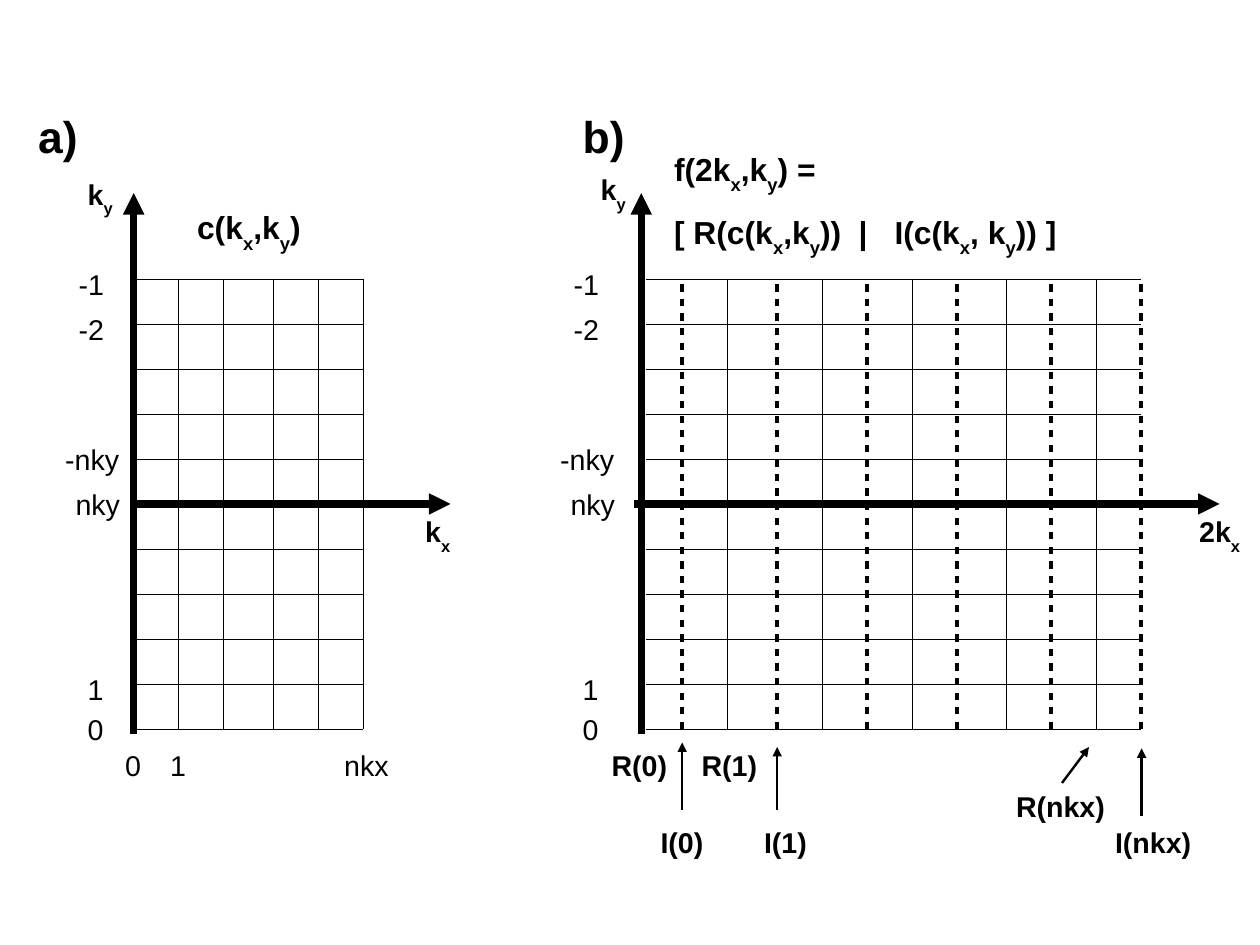
from dataclasses import dataclass

from lxml import etree
from pptx import Presentation
from pptx.dml.color import RGBColor
from pptx.enum.shapes import MSO_CONNECTOR
from pptx.enum.text import MSO_AUTO_SIZE
from pptx.oxml.ns import qn
from pptx.util import Cm, Pt

STRAIGHT = MSO_CONNECTOR.STRAIGHT
GROW = MSO_AUTO_SIZE.SHAPE_TO_FIT_TEXT
BLACK = "000000"
FONT = "Arial"
AXIS, DASHED, POINTER, HAIRLINE = 4.5, 2.3, 1.5, 0.1
LINE_HEIGHT = {18: 0.97, 20: 1.22, 28: 1.35}

# Grid rows and axes shared by both panels, in cm
ROW_STEP, ROWS = 1, 11
GRID_TOP = 6.2
GRID_BOTTOM = GRID_TOP + ROW_STEP * (ROWS - 1)
AXIS_TOP, AXIS_BOTTOM, AXIS_MID = 4.29, 16.31, 11.2
PANEL_SHIFT = 11


@dataclass
class Line:
    x1: float
    y1: float
    x2: float
    y2: float
    width: float = HAIRLINE
    arrow: bool = False
    dashed: bool = False


@dataclass
class Label:
    text: str  # "_" lowers the next character
    left: float
    top: float
    width: float
    size: int = 18
    bold: bool = True
    wrap: bool = False
    tabs: tuple[float, ...] = ()


@dataclass
class Panel:
    axis_x: float
    axis_start: float
    axis_end: float
    grid_left: float
    columns: list[float]
    dashed_every: int  # 0 means no dashed columns
    shift: float


PANELS = [
    Panel(2.97, 3, 10.01, 3.05, [3.96, 4.96, 6.06, 7.06, 8.06], 0, 0),
    Panel(14.25, 14.1, 27.1, 14.35,
          [15.16, 16.16, 17.26, 18.26, 19.26, 20.26, 21.26, 22.36, 23.36, 24.36, 25.36],
          2, PANEL_SHIFT),
]

ROW_LABELS = [
    Label("-1", 1.5, 5.8, 1.24, bold=False),
    Label("-2", 1.5, 6.8, 1.24, bold=False),
    Label("-nky", 1.2, 9.7, 2.03, bold=False, wrap=True),
    Label("nky", 1.43, 10.7, 1.6, bold=False),
    Label("1", 1.7, 14.8, 1.04, bold=False),
    Label("0", 1.7, 15.7, 1.04, bold=False),
]

LABELS = [
    # Panel a
    Label("a)", 0.6, 2.3, 1.55, size=28),
    Label("k_y", 1.7, 3.8, 1.27, wrap=True),
    Label("k_x", 9.2, 11.3, 1.24),
    Label("c(k_x,k_y)", 4.13, 4.5, 2.95, size=20),
    Label("0", 2.53, 16.5, 1.04, bold=False),
    Label("1", 3.53, 16.5, 1.04, bold=False),
    Label("nkx", 7.4, 16.5, 1.68, bold=False),
    # Panel b
    Label("b)", 12.7, 2.3, 1.6, size=28),
    Label("k_y", 13.1, 3.7, 1.7, wrap=True),
    Label("2k_x", 26.4, 11.3, 1.6),
    Label("f(2k_x,k_y) =", 14.73, 3.2, 3.8, size=20),
    Label("[ R(c(k_x,k_y))\t|\tI(c(k_x, k_y)) ]", 14.73, 4.6, 9.3, size=20, tabs=(4.1, 4.9)),
    Label("R(0)", 13.34, 16.5, 1.9),
    Label("R(1)", 15.34, 16.5, 1.9),
    Label("R(nkx)", 22.33, 17.4, 2.6),
    Label("I(0)", 14.43, 18.2, 1.85),
    Label("I(1)", 16.73, 18.2, 1.85),
    Label("I(nkx)", 24.53, 18.2, 2.4),
]

POINTERS = [
    Line(15.16, 18, 15.16, 16.5, POINTER, arrow=True),
    Line(17.27, 18, 17.27, 16.6, POINTER, arrow=True),
    Line(23.6, 17.4, 24.2, 16.6, POINTER, arrow=True),
    Line(25.37, 18.13, 25.37, 16.63, POINTER, arrow=True),
]


def colour(value: str) -> RGBColor:
    return RGBColor.from_string(value)


def draw_line(slide, line: Line) -> None:
    sp = slide.shapes.add_connector(
        STRAIGHT, Cm(line.x1), Cm(line.y1), Cm(line.x2), Cm(line.y2))
    sp.line.color.rgb = colour(BLACK)
    sp.line.width = Pt(line.width)
    ln = sp.line._get_or_add_ln()
    if line.dashed:
        dash = etree.SubElement(ln, qn("a:custDash"))
        etree.SubElement(dash, qn("a:ds"), d="200000", sp="200000")
    if line.arrow:
        etree.SubElement(ln, qn("a:tailEnd"), type="triangle")
    etree.SubElement(sp._element.spPr, qn("a:effectLst"))


def draw_label(slide, label: Label, shift: float = 0) -> None:
    height = LINE_HEIGHT[label.size]
    sp = slide.shapes.add_textbox(
        Cm(label.left + shift), Cm(label.top), Cm(label.width), Cm(height))
    tf = sp.text_frame
    tf.word_wrap = label.wrap
    tf.auto_size = GROW
    p = tf.paragraphs[0]
    if label.tabs:
        tab_list = etree.SubElement(p._p.get_or_add_pPr(), qn("a:tabLst"))
        for position in label.tabs:
            etree.SubElement(tab_list, qn("a:tab"), pos=str(Cm(position)), algn="l")
    first, *lowered = label.text.split("_")
    pieces = [(first, False)]
    for part in lowered:
        pieces += [(part[0], True), (part[1:], False)]
    for text, subscript in pieces:
        if not text:
            continue
        r = p.add_run()
        r.text = text
        r.font.name = FONT
        r.font.size = Pt(label.size)
        r.font.bold = label.bold
        r.font.color.rgb = colour(BLACK)
        if subscript:
            r._r.get_or_add_rPr().set("baseline", "-33000")


def draw_panel(slide, panel: Panel) -> None:
    # Grid
    for row in range(ROWS):
        y = GRID_TOP + row * ROW_STEP
        draw_line(slide, Line(panel.grid_left, y, panel.columns[-1], y))
    for i, x in enumerate(panel.columns):
        dashed = panel.dashed_every > 0 and i % panel.dashed_every == 0
        width = DASHED if dashed else HAIRLINE
        draw_line(slide, Line(x, GRID_BOTTOM, x, GRID_TOP, width, dashed=dashed))
    # Axes
    draw_line(slide, Line(panel.axis_start, AXIS_MID, panel.axis_end, AXIS_MID, AXIS, arrow=True))
    draw_line(slide, Line(panel.axis_x, AXIS_BOTTOM, panel.axis_x, AXIS_TOP, AXIS, arrow=True))
    # Row labels
    for label in ROW_LABELS:
        draw_label(slide, label, panel.shift)


def main() -> None:
    prs = Presentation()
    prs.slide_width, prs.slide_height = Cm(28), Cm(21)
    slide = prs.slides.add_slide(prs.slide_layouts[6])
    for panel in PANELS:
        draw_panel(slide, panel)
    for pointer in POINTERS:
        draw_line(slide, pointer)
    for label in LABELS:
        draw_label(slide, label)
    prs.save("out.pptx")


if __name__ == "__main__":
    main()
